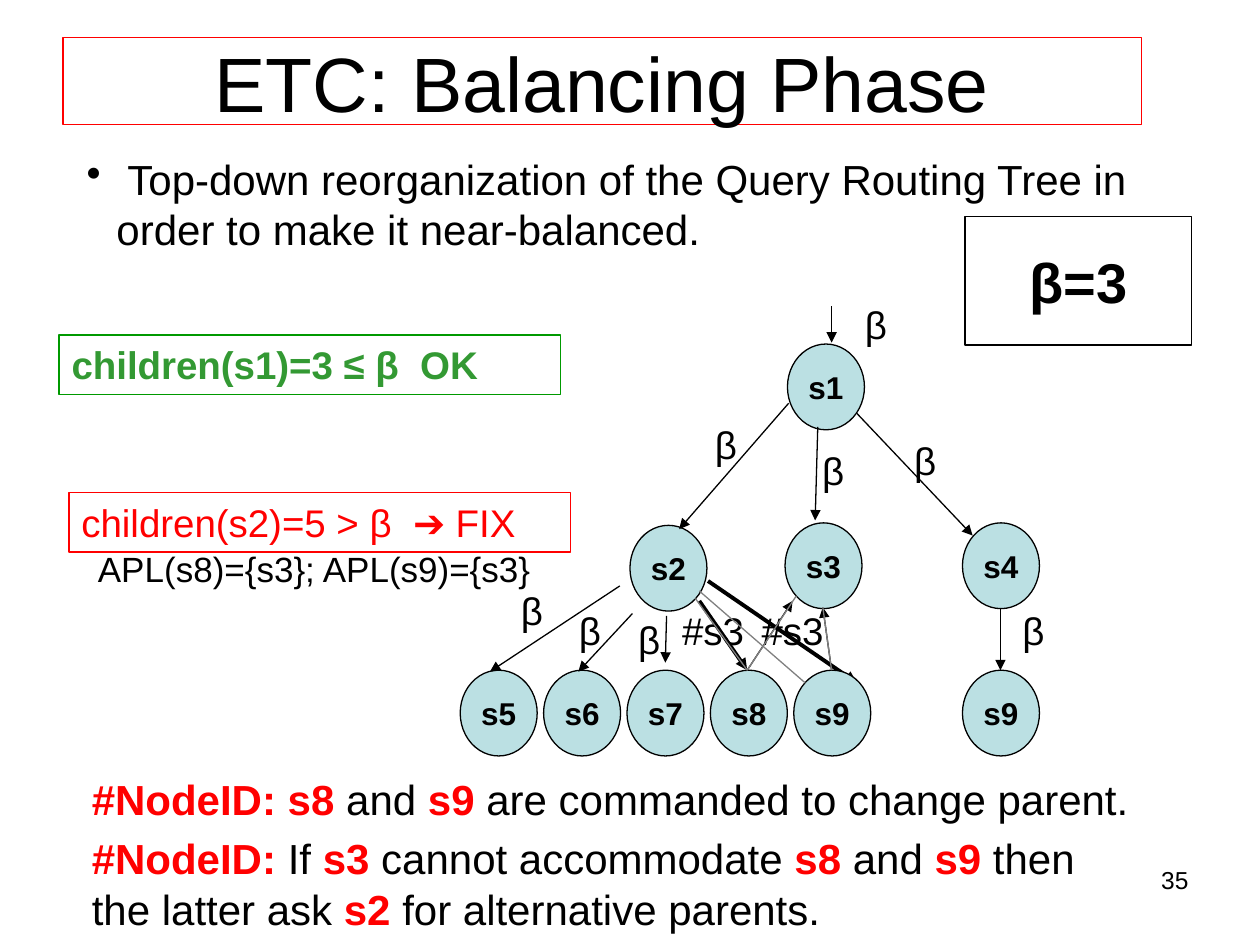
from pptx import Presentation
from pptx.dml.color import RGBColor
from pptx.enum.shapes import MSO_CONNECTOR, MSO_SHAPE
from pptx.enum.text import MSO_ANCHOR, PP_ALIGN
from pptx.oxml.ns import qn
from pptx.util import Pt
from lxml import etree

LEFT, MID, RIGHT = PP_ALIGN.LEFT, PP_ALIGN.CENTER, PP_ALIGN.RIGHT
TOP, CENTER = MSO_ANCHOR.TOP, MSO_ANCHOR.MIDDLE
RECT, OVAL = MSO_SHAPE.RECTANGLE, MSO_SHAPE.OVAL
STRAIGHT = MSO_CONNECTOR.STRAIGHT
BLACK, RED, GREY, BLUE = "000000", "FF0000", "808080", "BBE0E3"
NODE_W, NODE_H = 44, 49


def color(code):
    return RGBColor.from_string(code)


def style(font, size, code=BLACK, bold=False):
    font.name, font.size, font.bold = "Arial", Pt(size), bold
    font.color.rgb = color(code)


def write(shape, text, size, code=BLACK, bold=False, align=LEFT, anchor=TOP):
    frame = shape.text_frame
    frame.word_wrap = True
    frame.vertical_anchor = anchor
    frame.text = text
    para = frame.paragraphs[0]
    para.alignment = align
    for run in para.runs:
        style(run.font, size, code, bold)


def label(slide, box, text, size, **look):
    shape = slide.shapes.add_textbox(*map(Pt, box))
    write(shape, text, size, **look)
    return shape


def frame(slide, box, line, text, size, **look):
    shape = slide.shapes.add_shape(RECT, *map(Pt, box))
    shape.shadow.inherit = False
    shape.fill.background()
    shape.line.color.rgb = color(line)
    shape.line.width = Pt(0.75)
    write(shape, text, size, **look)


def node(slide, x, y, name):
    shape = slide.shapes.add_shape(OVAL, Pt(x), Pt(y), Pt(NODE_W), Pt(NODE_H))
    shape.shadow.inherit = False
    shape.fill.solid()
    shape.fill.fore_color.rgb = color(BLUE)
    shape.line.color.rgb = color(BLACK)
    shape.line.width = Pt(0.75)
    write(shape, name, 18, bold=True, align=MID, anchor=CENTER)
    shape.text_frame.word_wrap = False


def link(slide, x, y, ends, code=BLACK, width=0.75, arrow=True):
    x1, y1, x2, y2 = ends
    line = slide.shapes.add_connector(
        STRAIGHT, Pt(x + x1), Pt(y + y1), Pt(x + x2), Pt(y + y2))
    line.line.color.rgb = color(code)
    line.line.width = Pt(width)
    if arrow:
        tail = etree.SubElement(line.line._get_or_add_ln(), qn("a:tailEnd"))
        tail.set("type", "triangle")
    etree.SubElement(line._element.spPr, qn("a:effectLst"))


def tree(slide, x, y):
    # Commands to the moved nodes, behind the rest
    for ends in [(136.6, 175.4, 164, 215), (141.6, 164, 226.6, 222.2)]:
        link(slide, x, y, ends, width=2.25)
    for left in (119.3, 164.7):
        label(slide, (x + left, y + 175.4, 50.4, 34), "#s3", 22, align=MID)

    # Nodes: root, middle row and evenly spaced leaves
    spots = [(187, 28.6, "s1"), (97, 132.2, "s2"), (185.6, 130.8, "s3"),
             (287, 130.8, "s4"), (287, 215, "s9")]
    spots += [(i * 47.65, 215, f"s{i + 5}") for i in range(5)]
    for left, top, name in spots:
        node(slide, x + left, y + top, name)

    # Arrows down the tree, then up to the new parent
    for ends in [
        (212.2, 7, 212.2, 27.8),
        (187.7, 62.4, 125.1, 134.4),
        (204.3, 76, 202.8, 129.4),
        (226.6, 68.2, 292.8, 138),
        (91.2, 166.8, 17, 215.8),
        (98.4, 182.6, 67.5, 215.8),
        (117.9, 184, 117.2, 210.7),
        (308.7, 179.8, 308.7, 215),
        (164, 215, 189.9, 175.4),
        (212.2, 215, 207.2, 179),
    ]:
        link(slide, x, y, ends)

    # Branching factor beside each arrow
    for left, top in [(215.1, 0.5), (129.4, 69), (190.6, 84), (243.2, 78.2),
                      (18.5, 164), (51.6, 175.4), (85.5, 180.5),
                      (305.1, 175.4)]:
        label(slide, (x + left, y + top, 45, 34), "β", 22, align=MID)

    # Grey lines over the old and new links
    for ends in [(164, 215, 192, 172.6), (164, 215, 134.4, 174),
                 (197.1, 222.2, 136.6, 169.7), (212.2, 215, 207.2, 179)]:
        link(slide, x, y, ends, GREY, arrow=False)


def intro(slide, box):
    text = " Top-down reorganization of the Query Routing Tree in order to make it near-balanced."
    para = label(slide, box, text, 24).text_frame.paragraphs[0]
    props = para._p.get_or_add_pPr()
    props.set("marL", str(Pt(17)))
    props.set("indent", str(Pt(-17)))
    etree.SubElement(props, qn("a:buChar")).set("char", "•")


def checks(slide, x, y):
    frame(slide, (x, y, 286.6, 34), "009900", "children(s1)=3 ≤ β  OK", 22,
          code="339933", bold=True)
    frame(slide, (x + 5.6, y + 90, 286.6, 34), RED,
          "children(s2)=5 > β  ➔ FIX", 22, code=RED)
    label(slide, (x - 11.5, y + 118, 314.6, 32), "APL(s8)={s3}; APL(s9)={s3}",
          20, align=MID)


def note(slide, box, parts):
    # Parts alternate between red bold and plain black
    para = label(slide, box, "", 24).text_frame.paragraphs[0]
    for i, part in enumerate(parts):
        run = para.add_run()
        run.text = part
        strong = i % 2 == 0
        style(run.font, 24, RED if strong else BLACK, strong)


def main():
    deck = Presentation()
    deck.slide_width, deck.slide_height = Pt(720), Pt(540)
    slide = deck.slides.add_slide(deck.slide_layouts[6])

    # Heading and introduction
    frame(slide, (36, 21.6, 616.3, 49.7), RED, "ETC: Balancing Phase", 44,
          align=MID, anchor=CENTER)
    intro(slide, (42.5, 84.2, 643.7, 425.5))

    # Checks, factor and routing tree
    checks(slide, 33.8, 191.5)
    frame(slide, (551.5, 123.8, 129.6, 73.4), BLACK, "β=3", 32, bold=True,
          align=MID, anchor=CENTER)
    tree(slide, 263, 168)

    # Commands and page number
    note(slide, (45.4, 438.5, 607.7, 36),
         ["#NodeID: s8 ", "and", " s9 ", "are commanded to change parent."])
    note(slide, (45.4, 472.3, 607.7, 65),
         ["#NodeID: ", "If ", "s3", " cannot accommodate ", "s8 ", "and ",
          "s9", " then the latter ask ", "s2", " for alternative parents."])
    label(slide, (518.4, 491, 167.8, 37.4), "35", 14, align=RIGHT)

    deck.save("out.pptx")


if __name__ == "__main__":
    main()
